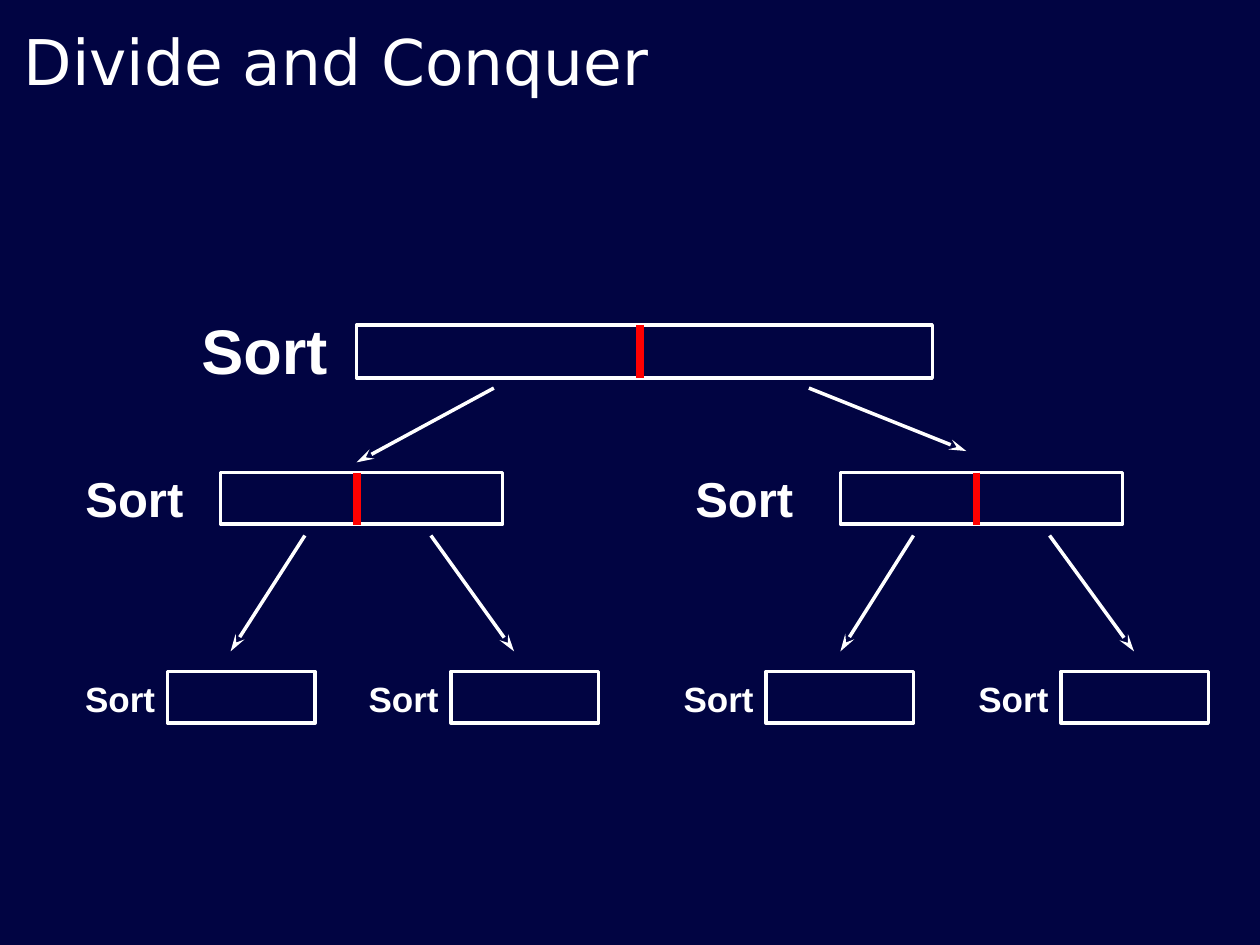
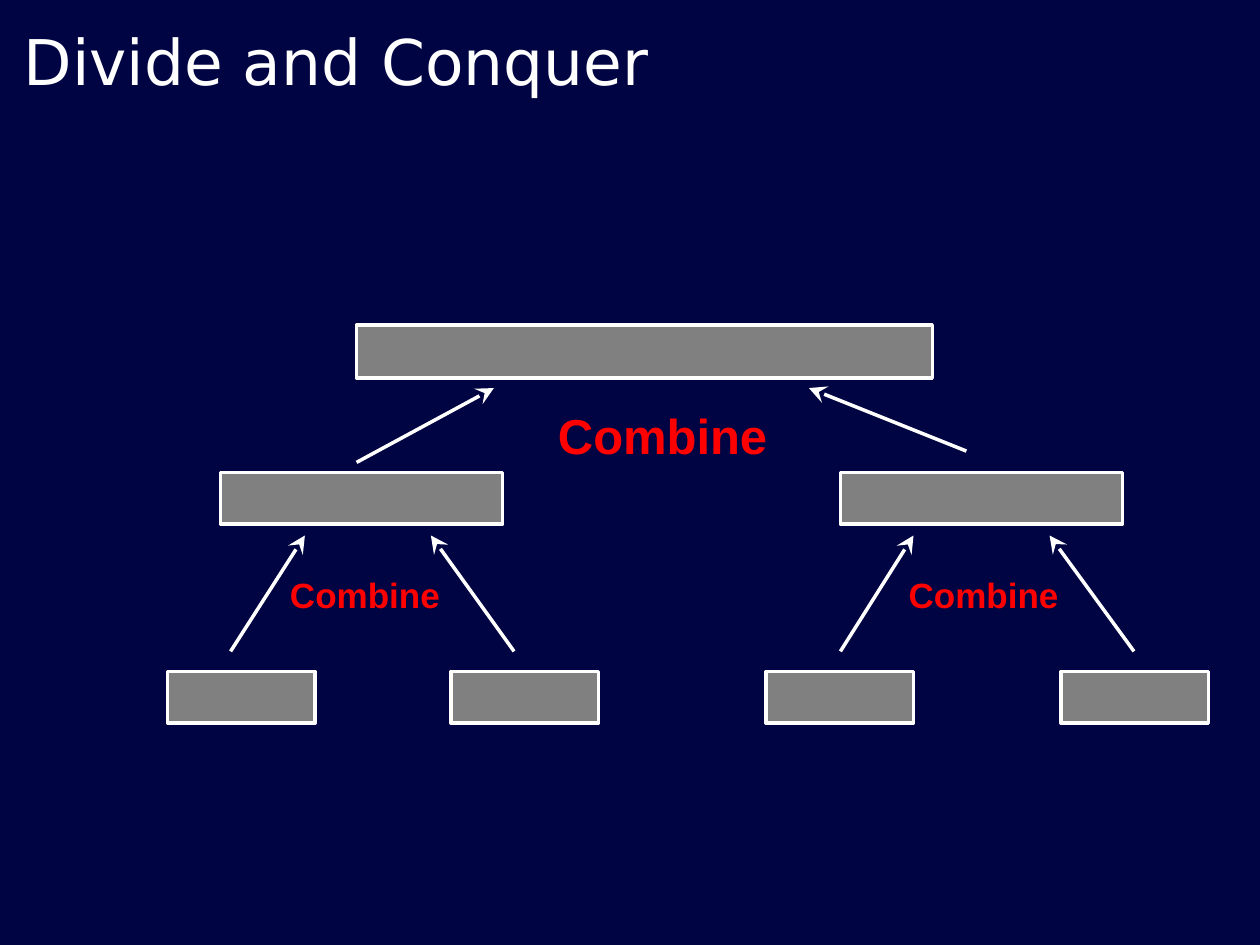
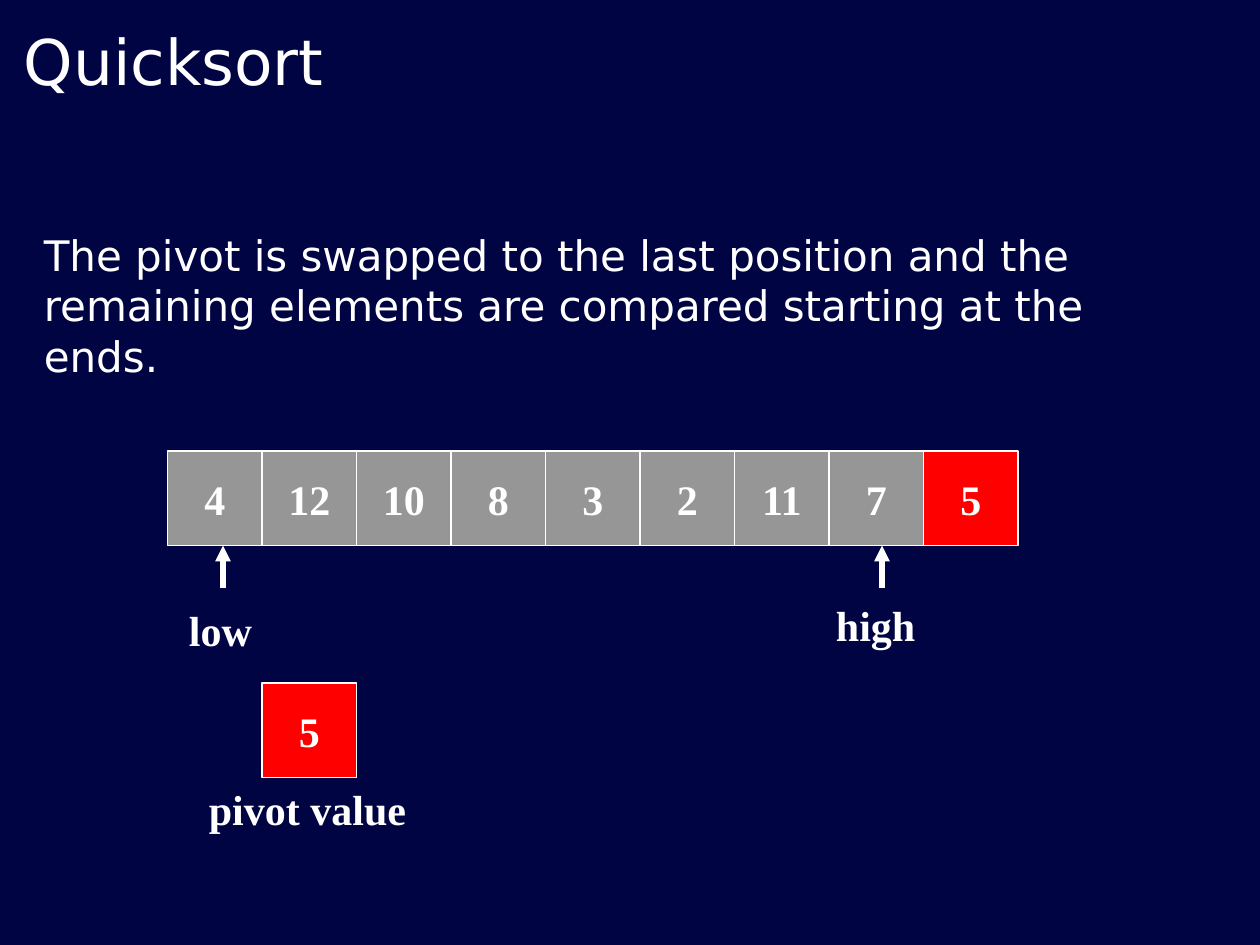
from lxml import etree
from pptx import Presentation
from pptx.dml.color import RGBColor
from pptx.enum.shapes import MSO_CONNECTOR, MSO_SHAPE
from pptx.enum.text import MSO_ANCHOR, PP_ALIGN
from pptx.oxml.ns import qn
from pptx.util import Inches, Pt

RECTANGLE = MSO_SHAPE.RECTANGLE
STRAIGHT = MSO_CONNECTOR.STRAIGHT
TOP, MIDDLE = MSO_ANCHOR.TOP, MSO_ANCHOR.MIDDLE
LEFT, CENTER, RIGHT = PP_ALIGN.LEFT, PP_ALIGN.CENTER, PP_ALIGN.RIGHT

COLORS = {
    "background": "010442",
    "white": "FFFFFF",
    "red": "FF0000",
    "combined": "808080",
    "cell": "969696",
}
TITLE = {"font": "DejaVu Sans", "size": 36, "anchor": MIDDLE}
BODY = {"font": "DejaVu Sans", "size": 24, "anchor": MIDDLE}
ARRAY = {"font": "Times New Roman", "size": 24, "bold": True,
         "align": CENTER, "anchor": MIDDLE, "wrap": False}
TREE = {"font": "Arial", "bold": True}


def add_text(slide, text, area, font, size, color="white", bold=False,
             align=LEFT, anchor=TOP, wrap=True, fill=None):
    position = [Inches(length) for length in area]
    if fill:
        shape = slide.shapes.add_shape(RECTANGLE, *position)
        shape.shadow.inherit = False
        shape.fill.solid()
        shape.fill.fore_color.rgb = RGBColor.from_string(COLORS[fill])
        shape.line.color.rgb = RGBColor.from_string(COLORS["white"])
        shape.line.width = Pt(0.75)
    else:
        shape = slide.shapes.add_textbox(*position)
    frame = shape.text_frame
    frame.word_wrap = wrap
    frame.vertical_anchor = anchor
    paragraph = frame.paragraphs[0]
    paragraph.alignment = align
    run = paragraph.add_run()
    run.text = text
    run.font.name = font
    run.font.size = Pt(size)
    run.font.bold = bold
    run.font.color.rgb = RGBColor.from_string(COLORS[color])


def add_line(slide, start, end, color="white", width=2, arrow=None):
    connector = slide.shapes.add_connector(
        STRAIGHT, *[Inches(length) for length in (*start, *end)])
    connector.line.color.rgb = RGBColor.from_string(COLORS[color])
    connector.line.width = Pt(width)
    if arrow:
        kind, head_width, head_length = arrow
        etree.SubElement(connector._element.spPr.find(qn("a:ln")), qn("a:tailEnd"),
                         type=kind, w=head_width, len=head_length)
    etree.SubElement(connector._element.spPr, qn("a:effectLst"))


presentation = Presentation()
presentation.slide_width = Inches(10)
presentation.slide_height = Inches(7.5)

slides = []
for title in ["Divide and Conquer", "Divide and Conquer", "Quicksort"]:
    slide = presentation.slides.add_slide(presentation.slide_layouts[6])
    slide.background.fill.solid()
    slide.background.fill.fore_color.rgb = RGBColor.from_string(COLORS["background"])
    add_text(slide, title, (0.09, 0.09, 9, 0.77), **TITLE)
    slides.append(slide)
divide_slide, combine_slide, quicksort_slide = slides

leaf_lefts = [1.33, 3.58, 6.08, 8.42]
tree_boxes = [(2.83, 2.58, 4.57, 0.42)]
tree_boxes += [(left, 3.75, 2.24, 0.41) for left in (1.75, 6.67)]
tree_boxes += [(left, 5.33, 1.17, 0.41) for left in leaf_lefts]
branches = [((3.92, 3.08), (2.83, 3.67)), ((6.42, 3.08), (7.67, 3.58))]
branches += [((parent, 4.25), (child, 5.17)) for parent, child in
             [(2.42, 1.83), (3.42, 4.08), (7.25, 6.67), (8.33, 9)]]

for slide, fill in [(divide_slide, None), (combine_slide, "combined")]:
    for area in tree_boxes:
        box = slide.shapes.add_shape(RECTANGLE, *[Inches(length) for length in area])
        box.shadow.inherit = False
        box.line.color.rgb = RGBColor.from_string(COLORS["white"])
        box.line.width = Pt(2)
        if fill:
            box.fill.solid()
            box.fill.fore_color.rgb = RGBColor.from_string(COLORS[fill])
        else:
            box.fill.background()

for parent, child in branches:
    add_line(divide_slide, parent, child, arrow=("stealth", "med", "lg"))
    add_line(combine_slide, child, parent, arrow=("stealth", "lg", "lg"))

for x, top in [(5.08, 2.58), (2.83, 3.75), (7.75, 3.75)]:
    add_line(divide_slide, (x, top), (x, top + 0.42), color="red", width=4.5)

add_text(divide_slide, "Sort", (1.5, 2.42, 1.58, 0.7), size=36, **TREE)
for left in (0.58, 5.42):
    add_text(divide_slide, "Sort", (left, 3.67, 1.58, 0.57), size=28, **TREE)
for left in leaf_lefts:
    add_text(divide_slide, "Sort", (left - 0.83, 5.33, 0.83, 0.43),
             size=20, align=RIGHT, **TREE)

add_text(combine_slide, "Combine", (4.33, 3.17, 1.92, 0.57),
         size=28, color="red", **TREE)
for left in (2.17, 7.08):
    add_text(combine_slide, "Combine", (left, 4.5, 1.42, 0.43),
             size=20, color="red", align=RIGHT, **TREE)

add_text(quicksort_slide,
         "The pivot is swapped to the last position and the remaining "
         "elements are compared starting at the ends.",
         (0.25, 1.72, 9, 1.4), **BODY)

cell_size = 0.75
values = [4, 12, 10, 8, 3, 2, 11, 7, 5]
for index, value in enumerate(values):
    is_pivot = index == len(values) - 1
    add_text(quicksort_slide, str(value),
             (1.33 + index * cell_size, 3.58, cell_size, cell_size),
             fill="red" if is_pivot else "cell", **ARRAY)
add_text(quicksort_slide, str(values[-1]), (2.08, 5.42, cell_size, cell_size),
         fill="red", **ARRAY)

for x in (1.77, 7):
    add_line(quicksort_slide, (x, 4.67), (x, 4.33), width=3,
             arrow=("triangle", "med", "med"))

for label, area in [
    ("low", (1.4, 4.75, 0.7, 0.5)),
    ("high", (6.5, 4.71, 0.9, 0.5)),
    ("pivot value", (1.44, 6.17, 2, 0.5)),
]:
    add_text(quicksort_slide, label, area, **ARRAY)

presentation.save("out.pptx")
